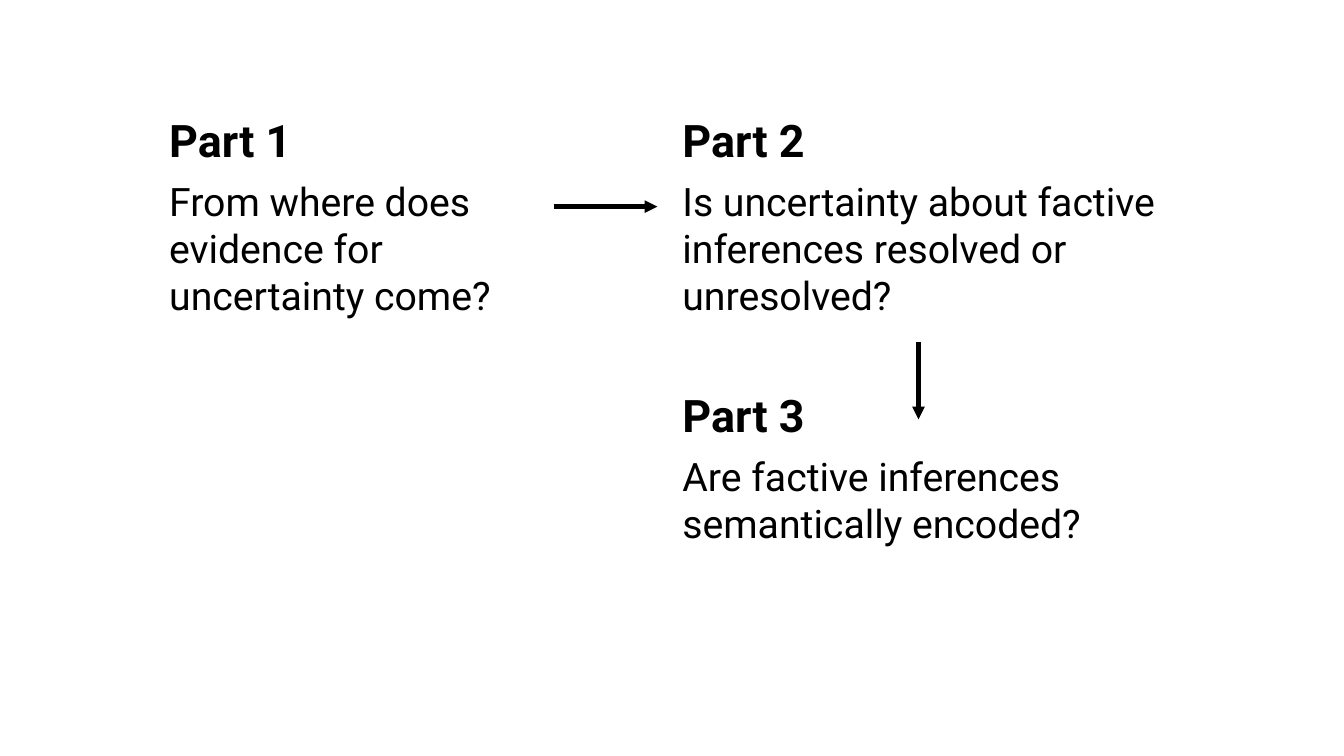
from lxml import etree
from pptx import Presentation
from pptx.dml.color import RGBColor
from pptx.enum.shapes import MSO_CONNECTOR
from pptx.enum.text import MSO_AUTO_SIZE
from pptx.oxml.ns import qn
from pptx.util import Inches, Pt

BLACK = "000000"
HEADING_HEIGHT = 0.64


def paint(color_format, hex_color):
    color_format.rgb = RGBColor.from_string(hex_color)


def add_text(group, text, left, top, width, height, size, bold):
    box = group.shapes.add_textbox(Inches(left), Inches(top), Inches(width), Inches(height))
    frame = box.text_frame
    frame.word_wrap = True
    frame.auto_size = MSO_AUTO_SIZE.SHAPE_TO_FIT_TEXT
    span = frame.paragraphs[0].add_run()
    span.text = text
    span.font.name = "Roboto"
    span.font.size = Pt(size)
    span.font.bold = bold
    paint(span.font.color, BLACK)


deck = Presentation()
deck.slide_width = Inches(13.33)
deck.slide_height = Inches(7.5)
page = deck.slides.add_slide(deck.slide_layouts[6])

parts = [
    ("Part 1", "From where does evidence for uncertainty come?",
     1.58, 1.07, 3.9, 3.9, 1.51, None),
    ("Part 2", "Is uncertainty about factive inferences resolved or unresolved?",
     6.67, 1.07, 5.08, 5.2, 1.51, (5.49, 2.05, 6.52, 2.05)),
    ("Part 3", "Are factive inferences semantically encoded?",
     6.67, 3.8, 5.08, 5.68, 1.04, (9.11, 3.39, 9.11, 4.16)),
]

for heading, question, left, top, heading_width, question_width, question_height, arrow_ends in parts:
    group = page.shapes.add_group_shape()
    group.name = heading
    add_text(group, heading, left, top, heading_width, HEADING_HEIGHT, 32, True)
    add_text(group, question, left, top + HEADING_HEIGHT, question_width, question_height, 28, False)
    if arrow_ends:
        arrow = group.shapes.add_connector(
            MSO_CONNECTOR.STRAIGHT, *[Inches(value) for value in arrow_ends])
        arrow.line.width = Pt(3)
        paint(arrow.line.color, BLACK)
        etree.SubElement(arrow.line._get_or_add_ln(), qn("a:tailEnd"), type="triangle")
        etree.SubElement(arrow._element.spPr, qn("a:effectLst"))

deck.save("out.pptx")
